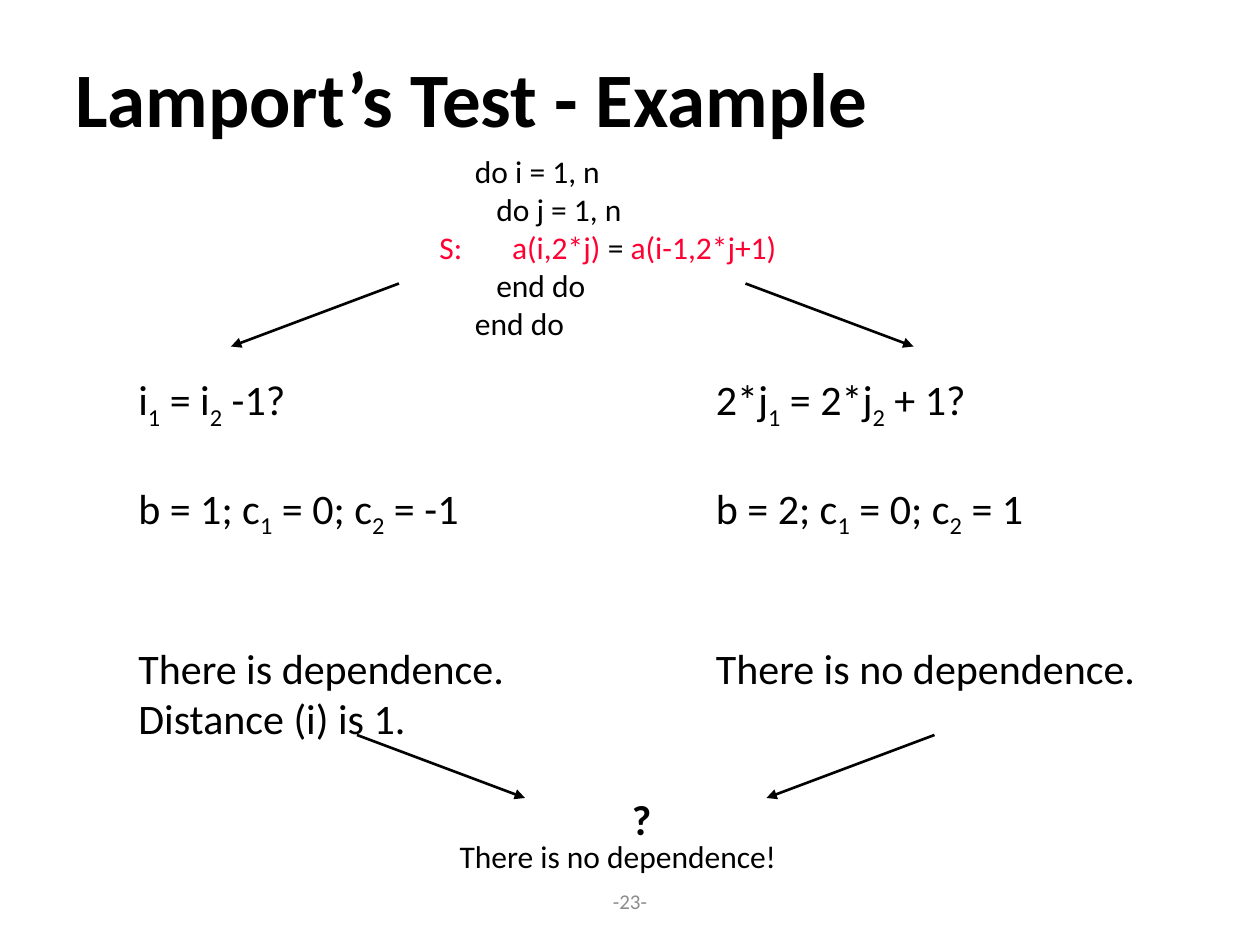
from pptx import Presentation
from pptx import util as u
from pptx.dml.color import RGBColor
from pptx.enum import shapes, text
from pptx.oxml.ns import qn
from lxml import etree

BLACK = RGBColor(0, 0, 0)
RED = RGBColor(0xFF, 0x00, 0x33)
GRAY = RGBColor(0x8C, 0x8C, 0x8C)

deck = Presentation()
deck.slide_width, deck.slide_height = u.Pt(720), u.Pt(540)
page = deck.slides.add_slide(deck.slide_layouts[6])


def add_text(place, paragraphs, size, wrap=True, anchor=text.MSO_ANCHOR.TOP,
             align=text.PP_ALIGN.LEFT, gaps=None, bold=False):
    box = page.shapes.add_textbox(*[u.Pt(length) for length in place])
    frame = box.text_frame
    frame.word_wrap = wrap
    frame.vertical_anchor = anchor
    for index, pieces in enumerate(paragraphs):
        para = frame.paragraphs[0] if index == 0 else frame.add_paragraph()
        para.alignment = align
        if gaps:
            para.space_before = u.Pt(gaps[index])
        for words, color, lowered in pieces:
            span = para.add_run()
            span.text = words
            style = {"name": "Calibri", "size": u.Pt(size), "bold": bold}
            for name, value in style.items():
                setattr(span.font, name, value)
            span.font.color.rgb = color
            if lowered:
                span._r.get_or_add_rPr().set("baseline", "-25000")


def formula(line):
    first, *others = line.split("_")
    pieces = [(first, BLACK, False)]
    for other in others:
        pieces += [(other[0], BLACK, True), (other[1:], BLACK, False)]
    return pieces


add_text((246, 500.5, 228, 28.75), [[("-23-", GRAY, False)]], 12,
         anchor=text.MSO_ANCHOR.MIDDLE, align=text.PP_ALIGN.CENTER)
add_text((36, 10, 648, 90), [formula("Lamport’s Test - Example")], 44,
         anchor=text.MSO_ANCHOR.MIDDLE, bold=True)

code = [
    formula("      do i = 1, n"),
    formula("         do j = 1, n"),
    [(" S:       a(i,2*j)", RED, False), (" = ", BLACK, False),
     ("a(i-1,2*j+1)", RED, False)],
    formula("         end do"),
    formula("      end do"),
]
add_text((240, 83.5, 258, 115), code, 18)

columns = {
    72: ["i_1 = i_2 -1?", "b = 1; c_1 = 0; c_2 = -1",
         "There is dependence.", "Distance (i) is 1."],
    402: ["2*j_1 = 2*j_2 + 1?", "b = 2; c_1 = 0; c_2 = 1",
          "There is no dependence."],
}
for left, lines in columns.items():
    add_text((left, 210, 282, 234), [formula(line) for line in lines], 24,
             gaps=[0, 29.3, 58.6, 0])

arrows = [
    (426, 162, 522, 198),
    (228, 162, 132, 198),
    (204, 420, 300, 456),
    (534, 420, 438, 456),
]
for ends in arrows:
    arrow = page.shapes.add_connector(
        shapes.MSO_CONNECTOR.STRAIGHT, *[u.Pt(length) for length in ends])
    arrow.line.width = u.Pt(1.5)
    arrow.line.color.rgb = BLACK
    etree.SubElement(arrow.line._get_or_add_ln(), qn("a:tailEnd"), type="triangle")
    etree.SubElement(arrow._element.spPr, qn("a:effectLst"))

add_text((354, 450, 28, 36), [formula("?")], 24, wrap=False, bold=True)
add_text((255.5, 474.5, 217, 29), [formula("There is no dependence!")], 18, wrap=False)

deck.save("out.pptx")
